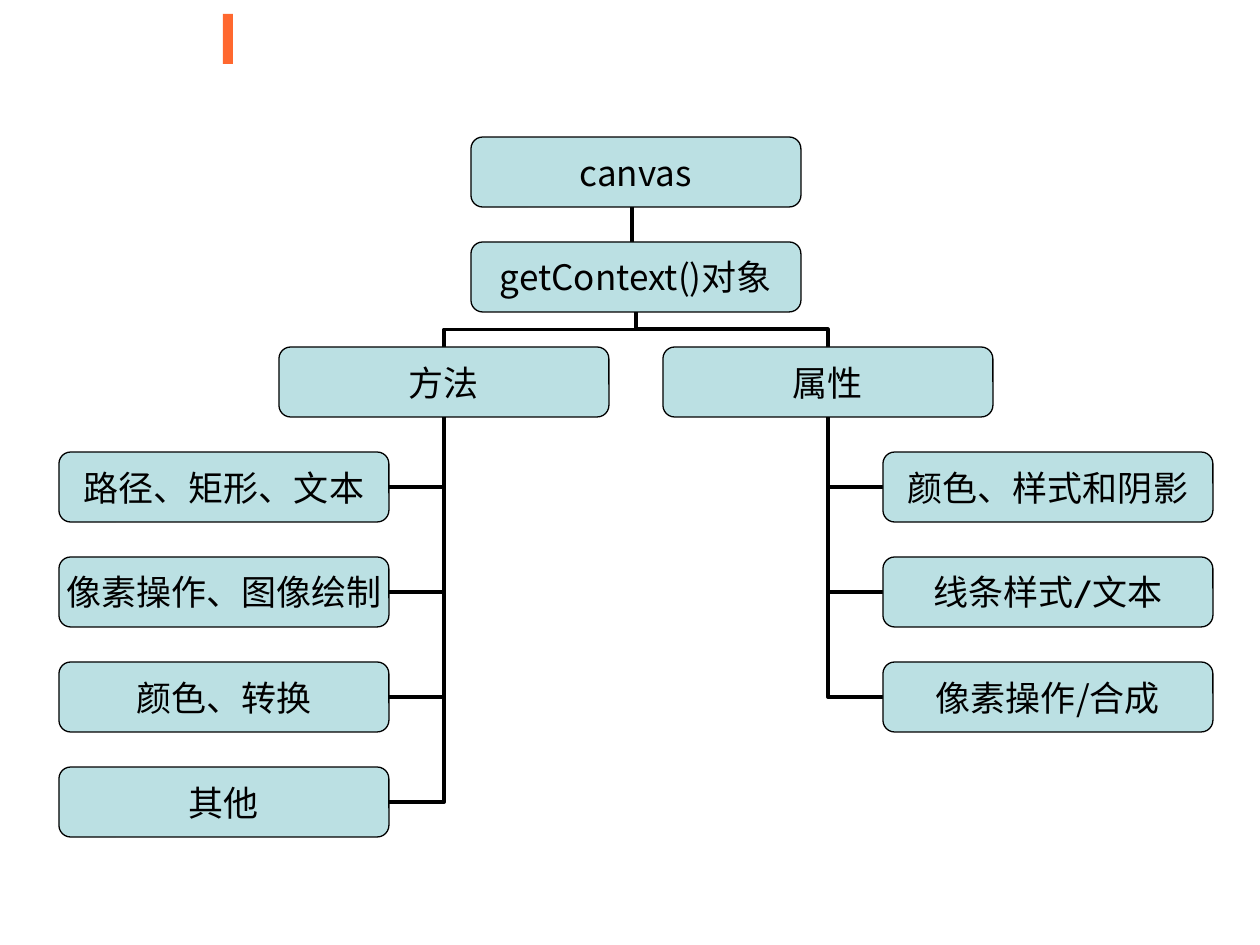
import dataclasses

import pptx
import pptx.dml.color
import pptx.enum.shapes
import pptx.enum.text
import pptx.oxml
import pptx.oxml.ns
import pptx.shapes.autoshape
import pptx.shapes.connector
import pptx.util

UNIT = 914400 / 126  # EMU in one px
WIDE, HIGH = 330, 70
TOP, PITCH = 137, 105
SANS, CABIN = "Noto Sans CJK SC", "Cabin"
BLACK, TEAL, ORANGE = "000000", "BBE0E3", "FF682F"
UP, LEFT, DOWN, RIGHT = range(4)  # connection sites of a box

Box = pptx.shapes.autoshape.Shape
Link = pptx.shapes.connector.Connector
Kind = pptx.enum.shapes.MSO_CONNECTOR
Form = pptx.enum.shapes.MSO_SHAPE
qn = pptx.oxml.ns.qn


@dataclasses.dataclass
class Node:
    text: str
    left: int
    row: int
    font: str = SANS


@dataclasses.dataclass
class Branch:
    head: Node
    site: int  # side of each leaf that faces the trunk
    leaves: list[Node]


def px(size: float) -> int:
    return round(size * UNIT)


def color(code: str) -> pptx.dml.color.RGBColor:
    return pptx.dml.color.RGBColor.from_string(code)


def draw_node(node: Node) -> Box:
    box = slide.shapes.add_shape(
        Form.ROUNDED_RECTANGLE, px(node.left), px(TOP + PITCH * node.row), px(WIDE), px(HIGH))
    box.shadow.inherit = False
    box.fill.solid()
    box.fill.fore_color.rgb = color(TEAL)
    box.line.color.rgb = color(BLACK)
    box.line.width = pptx.util.Pt(0.75)
    frame = box.text_frame
    frame.margin_left = frame.margin_right = frame.margin_top = frame.margin_bottom = 0
    frame.word_wrap = False
    frame.vertical_anchor = pptx.enum.text.MSO_ANCHOR.MIDDLE
    para = frame.paragraphs[0]
    para.alignment = pptx.enum.text.PP_ALIGN.CENTER
    run = para.add_run()
    run.text = node.text
    run.font.size = pptx.util.Pt(20)
    run.font.name = node.font
    run.font.color.rgb = color(BLACK)
    east = pptx.oxml.parse_xml(
        f'<a:ea {pptx.oxml.ns.nsdecls("a")} typeface="{SANS}"/>')
    run.font._element.find(qn("a:latin")).addnext(east)
    return box


def draw_link(kind: Kind) -> Link:
    link = slide.shapes.add_connector(kind, 0, 0, 0, 0)
    link.line.color.rgb = color(BLACK)
    link.line.width = pptx.util.Pt(2.25)
    props = link._element.spPr
    props.append(props.makeelement(qn("a:effectLst"), {}))
    slide.shapes._spTree.insert(2, link._element)  # behind the boxes
    return link


def join_leaf(leaf: Box, site: int, head: Box) -> None:
    """Run sideways from the leaf, then up to the head."""
    link = draw_link(Kind.ELBOW)
    link.begin_connect(leaf, site)
    link.end_connect(head, DOWN)
    link._element.spPr.find(qn("a:prstGeom")).set("prst", "bentConnector2")


def join_head(root: Box, head: Box) -> None:
    """Run down, across and down again: an elbow turned by 90 degrees."""
    link = draw_link(Kind.ELBOW)
    link.begin_connect(root, DOWN)
    link.end_connect(head, UP)
    wide, high = link.width, link.height
    mid_x, mid_y = link.left + wide // 2, link.top + high // 2
    link.left, link.top = mid_x - high // 2, mid_y - wide // 2
    link.width, link.height = high, wide
    frame = link._element.spPr.find(qn("a:xfrm"))
    frame.set("rot", "5400000")
    frame.set("flipH", "0")
    frame.set("flipV", "1" if head.left > root.left else "0")


deck = pptx.Presentation()
deck.slide_width, deck.slide_height = px(1260), px(945)
slide = deck.slides.add_slide(deck.slide_layouts[6])

# Accent bar
bar = slide.shapes.add_shape(Form.RECTANGLE, px(223), px(14), px(10), px(50))
bar.shadow.inherit = False
bar.fill.solid()
bar.fill.fore_color.rgb = color(ORANGE)
bar.line.fill.background()

# Trunk of the tree
draw_node(Node("canvas", 471, 0))
root = draw_node(Node("getContext()对象", 471, 1))
stem = draw_link(Kind.STRAIGHT)
stem.begin_x = stem.end_x = px(632)
stem.begin_y, stem.end_y = px(TOP + HIGH), px(TOP + PITCH)

# Two branches with their leaves
branches = [
    Branch(Node("方法", 279, 2), RIGHT, [
        Node("路径、矩形、文本", 59, 3, CABIN),
        Node("像素操作、图像绘制", 59, 4, CABIN),
        Node("颜色、转换", 59, 5, CABIN),
        Node("其他", 59, 6, CABIN),
    ]),
    Branch(Node("属性", 663, 2), LEFT, [
        Node("颜色、样式和阴影", 883, 3),
        Node("线条样式/文本", 883, 4, CABIN),
        Node("像素操作/合成", 883, 5),
    ]),
]
for branch in branches:
    head = draw_node(branch.head)
    join_head(root, head)
    for leaf in branch.leaves:
        join_leaf(draw_node(leaf), branch.site, head)

deck.save("out.pptx")
